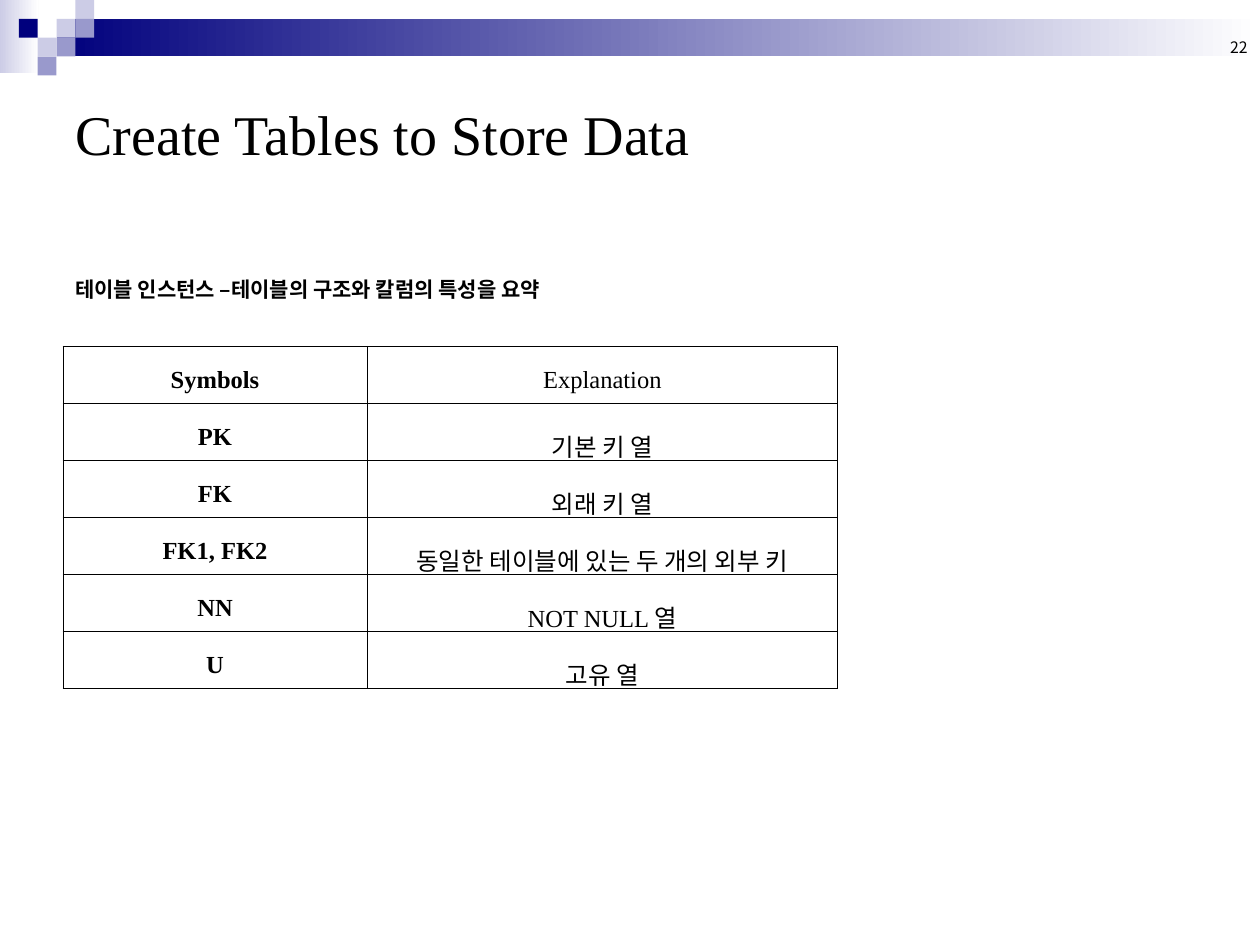
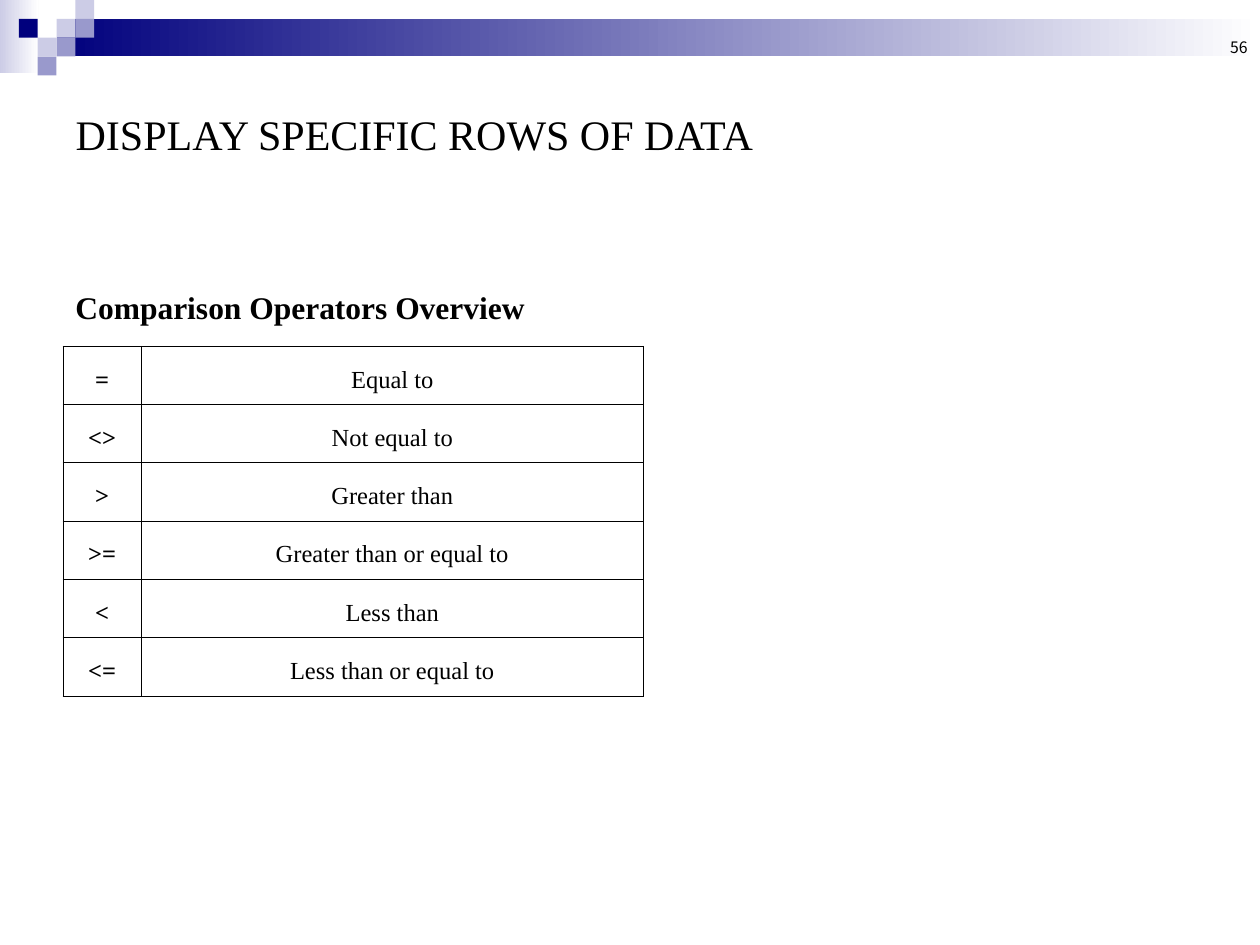
from collections import namedtuple

from lxml.etree import SubElement
from pptx import Presentation
from pptx.dml.color import RGBColor
from pptx.enum.shapes import MSO_SHAPE
from pptx.enum.text import MSO_ANCHOR, MSO_AUTO_SIZE, PP_ALIGN
from pptx.oxml import parse_xml
from pptx.oxml.ns import nsdecls, qn
from pptx.util import Cm, Pt

NAVY = RGBColor(0x00, 0x00, 0x7D)
PERIWINKLE = RGBColor(0x99, 0x99, 0xCC)
LAVENDER = RGBColor(0xCC, 0xCC, 0xE6)
WHITE = RGBColor(0xFF, 0xFF, 0xFF)
BLACK = RGBColor(0x00, 0x00, 0x00)

SERIF = "Times New Roman"
SANS = "Noto Sans CJK KR"

Box = namedtuple("Box", "left top width height")

PAGE = Box(0, 0, 25.4, 19.05)
BAND = Box(0, 0, 25.4, 1.9)
TITLE = Box(1.27, 1.27, 22.86, 2.84)
NUMBER = Box(19.48, 0, 5.92, 1.27)

TILE = 0.38
TILES = [(3, 1, LAVENDER), (4, 0, LAVENDER), (4, 1, PERIWINKLE), (2, 2, LAVENDER),
         (1, 1, NAVY), (3, 2, PERIWINKLE), (2, 3, PERIWINKLE)]

SYMBOLS = [
    ("Symbols", "Explanation"),
    ("PK", "기본 키 열"),
    ("FK", "외래 키 열"),
    ("FK1, FK2", "동일한 테이블에 있는 두 개의 외부 키"),
    ("NN", "NOT NULL 열"),
    ("U", "고유 열"),
]
OPERATORS = [
    ("=", "Equal to"),
    ("<>", "Not equal to"),
    (">", "Greater than"),
    (">=", "Greater than or equal to"),
    ("<", "Less than"),
    ("<=", "Less than or equal to"),
]


def lengths(box):
    """Return the four sides of a box as Cm lengths."""
    return [Cm(side) for side in box]


def write(frame, text, size, font=SERIF, bold=False, align=PP_ALIGN.LEFT,
          anchor=MSO_ANCHOR.TOP, line_spacing=None):
    """Put one formatted paragraph into a text frame."""
    frame.word_wrap = True
    frame.vertical_anchor = anchor
    para = frame.paragraphs[0]
    para.alignment = align
    para.line_spacing = line_spacing
    span = para.add_run()
    span.text = text
    span.font.name = font
    span.font.size = Pt(size)
    span.font.bold = bold
    span.font.color.rgb = BLACK
    SubElement(span.font._element, qn("a:ea"), typeface=SANS)


def add_text(page, box, text, **style):
    """Add a text box holding one paragraph."""
    write(page.shapes.add_textbox(*lengths(box)).text_frame, text, **style)


def add_block(group, box, colour, fade=False):
    """Add a rectangle in a plain colour or fading to white."""
    block = group.shapes.add_shape(MSO_SHAPE.RECTANGLE, *lengths(box))
    block.shadow.inherit = False
    block.line.fill.background()
    if fade:
        block.fill.gradient()
        block.fill.gradient_angle = 0
        for stop, shade in zip(block.fill.gradient_stops, (colour, WHITE)):
            stop.color.rgb = shade
    else:
        block.fill.solid()
        block.fill.fore_color.rgb = colour


def add_band(page, layout, box):
    """Draw the top band and its tiles, and hand them to the shared layout."""
    group = page.shapes.add_group_shape()
    add_block(group, Box(box.left, box.top, 0.78, 1.47), LAVENDER, fade=True)
    start = 3 * TILE
    add_block(group, Box(box.left + start, box.top + TILE, box.width - start, 2 * TILE),
              NAVY, fade=True)
    for column, row, colour in TILES:
        add_block(group, Box(box.left + column * TILE, box.top + row * TILE, TILE, TILE), colour)
    for number, properties in enumerate(group.element.iter(qn("p:cNvPr")), 100):
        properties.set("id", str(number))
    layout.shapes.element.insert(2, group.element)


def add_title(page, box, text, size):
    """Place and format the title placeholder."""
    title = page.shapes.title
    title.left, title.top, title.width, title.height = lengths(box)
    title.text_frame.auto_size = MSO_AUTO_SIZE.NONE
    write(title.text_frame, text, size, anchor=MSO_ANCHOR.MIDDLE)


def add_borders(cell):
    """Draw a thin black line on each side of a cell."""
    properties = cell._tc.get_or_add_tcPr()
    for side in "LRTB":
        properties.append(parse_xml(
            f'<a:ln{side} {nsdecls("a")} w="{Pt(0.45)}"><a:solidFill>'
            f'<a:srgbClr val="{BLACK}"/></a:solidFill></a:ln{side}>'))


def add_grid(page, box, rows, first_width):
    """Add a two-column table with a bold first column."""
    table = page.shapes.add_table(len(rows), 2, *lengths(box)).table
    table.first_row = table.horz_banding = False
    for column, width in zip(table.columns, (first_width, box.width - first_width)):
        column.width = Cm(width)
    for row, texts in enumerate(rows):
        table.rows[row].height = Cm(box.height / len(rows))
        for column, text in enumerate(texts):
            cell = table.cell(row, column)
            cell.margin_left = cell.margin_right = Cm(0.2)
            cell.margin_top = cell.margin_bottom = Cm(0.13)
            add_borders(cell)
            cell.fill.background()
            write(cell.text_frame, text, 14, bold=column == 0,
                  align=PP_ALIGN.CENTER, line_spacing=1.5)


def add_table_page(deck, layout, number, title, title_size):
    """Add a page with its title and page number."""
    page = deck.slides.add_slide(layout)
    add_title(page, TITLE, title, title_size)
    add_text(page, NUMBER, number, size=9, font=SANS, align=PP_ALIGN.RIGHT,
             anchor=MSO_ANCHOR.BOTTOM)
    return page


def main():
    """Build the two pages and save the deck."""
    deck = Presentation()
    deck.slide_width, deck.slide_height = Cm(PAGE.width), Cm(PAGE.height)
    layout = deck.slide_layouts[5]

    page = add_table_page(deck, layout, "22", "Create Tables to Store Data", 32)
    add_band(page, layout, BAND)
    add_text(page, Box(1.27, 5.46, 17, 1.68),
             "테이블 인스턴스 –테이블의 구조와 칼럼의 특성을 요약", size=12, bold=True)
    add_grid(page, Box(1.27, 6.98, 15.62, 6.55), SYMBOLS, 6.13)

    page = add_table_page(deck, layout, "56", "DISPLAY SPECIFIC ROWS OF DATA", 24)
    add_text(page, Box(1.27, 5.68, 17, 1.04), "Comparison Operators Overview",
             size=18, bold=True)
    add_grid(page, Box(1.27, 6.98, 11.7, 7.05), OPERATORS, 1.58)

    deck.save("out.pptx")


if __name__ == "__main__":
    main()
